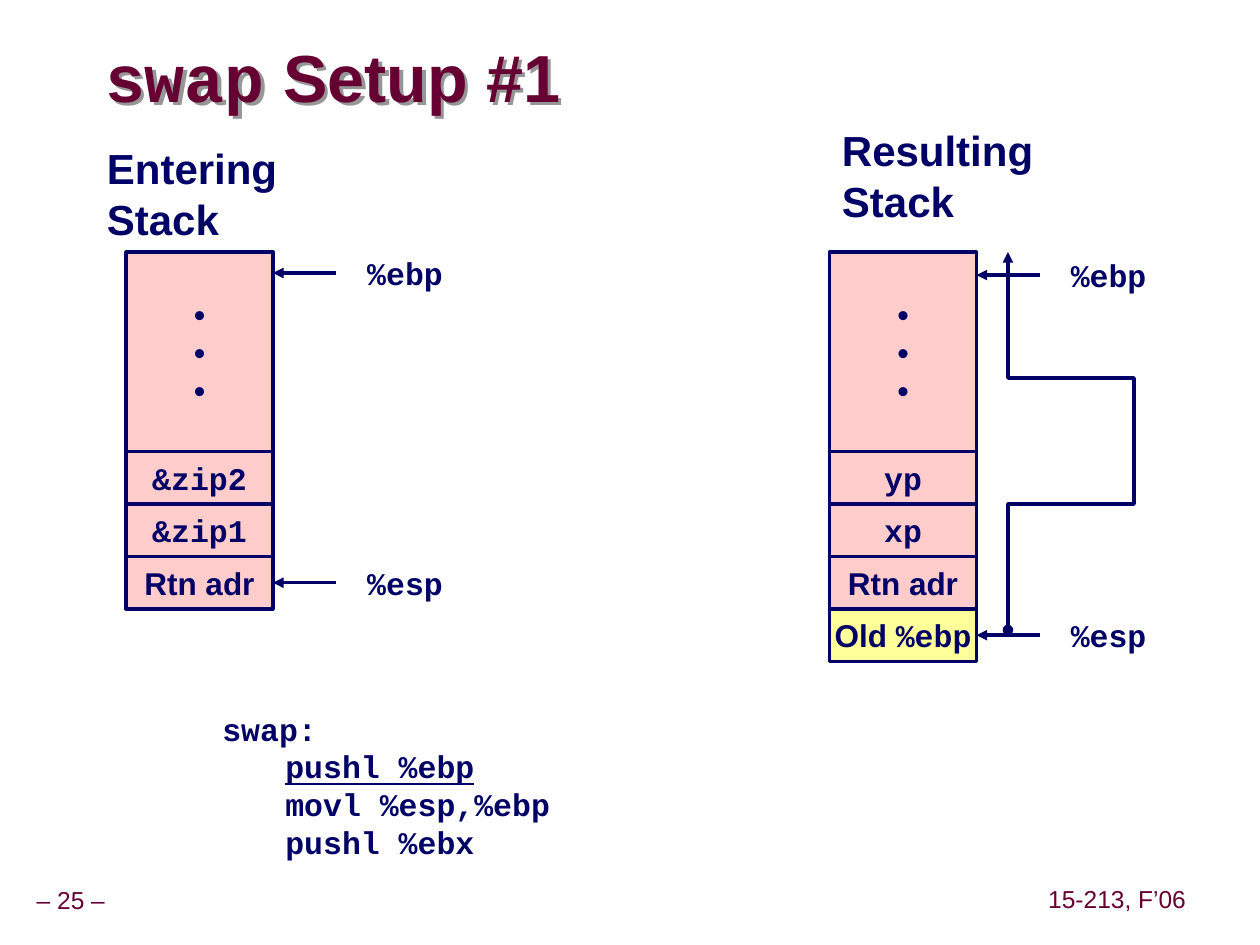
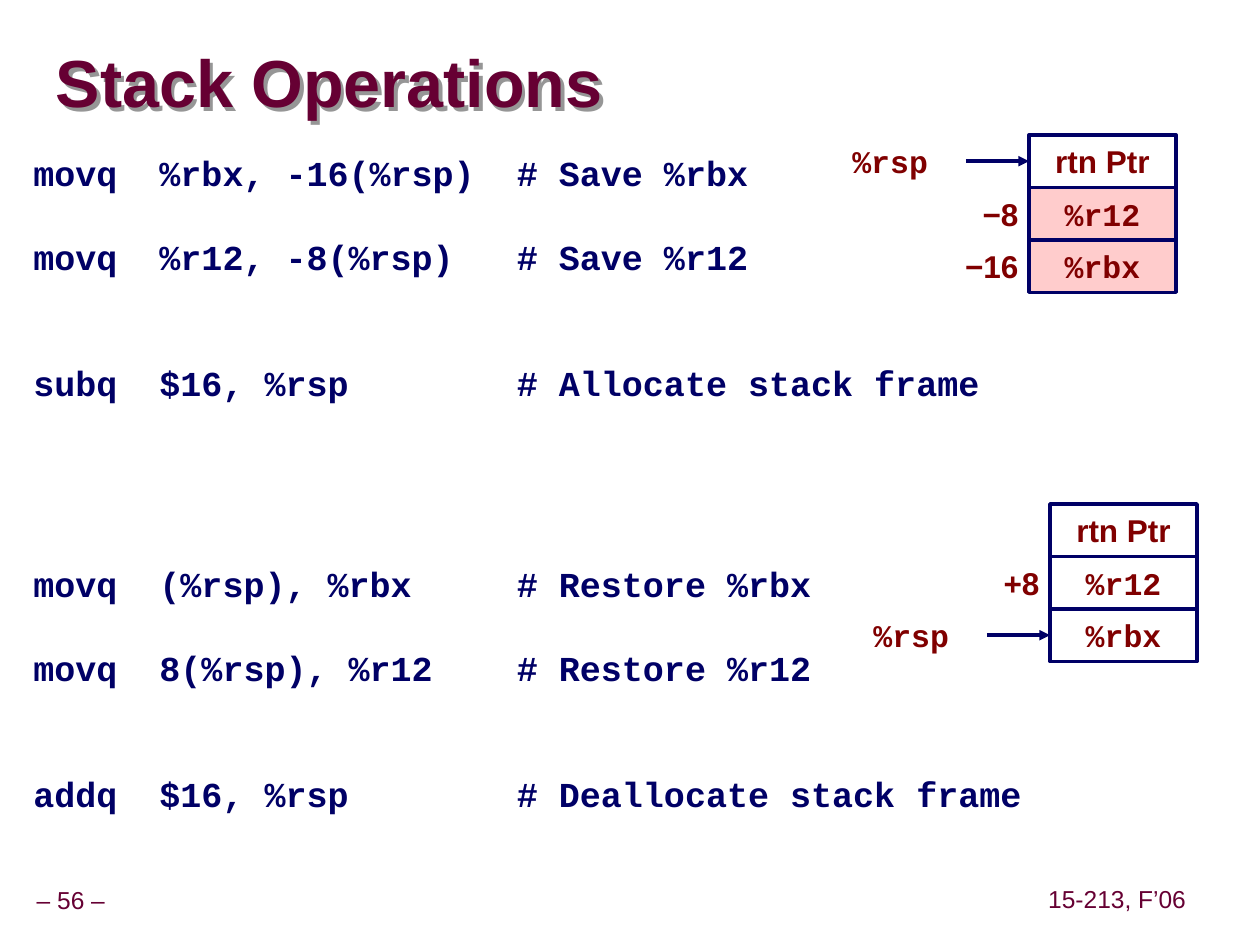
from dataclasses import dataclass
from typing import Optional

from lxml import etree
from pptx import Presentation
from pptx.dml.color import RGBColor
from pptx.enum.shapes import MSO_CONNECTOR, MSO_SHAPE
from pptx.enum.text import MSO_ANCHOR, PP_ALIGN
from pptx.oxml import parse_xml
from pptx.oxml.ns import nsdecls, qn
from pptx.util import Emu, Inches, Pt

RECTANGLE = MSO_SHAPE.RECTANGLE
STRAIGHT = MSO_CONNECTOR.STRAIGHT
LEFT, CENTER, RIGHT = PP_ALIGN.LEFT, PP_ALIGN.CENTER, PP_ALIGN.RIGHT
TOP, MIDDLE = MSO_ANCHOR.TOP, MSO_ANCHOR.MIDDLE
LEFT_SIDE, RIGHT_SIDE = 1, 3

SANS, MONO = "Arial", "Courier New"
NAVY, WINE, MAROON = "000066", "660033", "800000"
PINK, YELLOW, WHITE, GREY = "FFCCCC", "FFFF99", "FFFFFF", "969696"

# The slide is a grid of 120 columns by 90 rows
SLIDE_WIDTH, SLIDE_HEIGHT = Inches(10), Inches(7.5)
UNIT = SLIDE_WIDTH / 120
CELL_WIDTH, CELL_HEIGHT, DOTS_HEIGHT = 14, 5, 19
ARROW_LENGTH = 6
LABEL_WIDTH, LABEL_HEIGHT = 9.6, 4.8
LEADING = 1.2


@dataclass
class Span:
    text: str
    font: str = SANS
    underline: bool = False


@dataclass
class Line:
    spans: list[Span]
    space_before: float = 0
    indent: float = 0


@dataclass
class Style:
    size: float
    color: str = NAVY
    bold: bool = True
    align: PP_ALIGN = LEFT
    anchor: MSO_ANCHOR = TOP
    wrap: bool = False
    inset_x: float = 0.1
    inset_y: float = 0.05
    spacing: Optional[float] = None  # None gives an exact leading


@dataclass
class Cell:
    lines: list[Line]
    fill: Optional[str] = PINK
    height: float = CELL_HEIGHT


TITLE = Style(38, WINE, anchor=MIDDLE, wrap=True, inset_x=0, inset_y=0, spacing=0.87)
FOOTER = Style(14, WINE, bold=False, align=CENTER, anchor=MIDDLE, inset_x=0.05, spacing=0.9)
HEADING = Style(24)
REGISTER = Style(18)
REGISTER_MAROON = Style(18, MAROON)
CELL = Style(18, align=CENTER, anchor=MIDDLE)
CELL_MAROON = Style(18, MAROON, align=CENTER, anchor=MIDDLE)
OFFSET = Style(18, MAROON, align=RIGHT, wrap=True, inset_x=0.05, spacing=0.9)
SETUP_CODE = Style(18, wrap=True)
STACK_CODE = Style(20, wrap=True)


def grid(count: float) -> Emu:
    return Emu(round(count * UNIT))


def rgb(color: str) -> RGBColor:
    return RGBColor.from_string(color)


def sans(text: str) -> Line:
    return Line([Span(text)])


def mono(text: str, space_before: float = 0, indent: float = 0, underline: bool = False) -> Line:
    return Line([Span(text, MONO, underline)], space_before, indent)


def write(frame, lines: list[Line], style: Style) -> None:
    frame.word_wrap = style.wrap
    frame.vertical_anchor = style.anchor
    frame.margin_left = frame.margin_right = Inches(style.inset_x)
    frame.margin_top = frame.margin_bottom = Inches(style.inset_y)
    for index, line in enumerate(lines):
        paragraph = frame.add_paragraph() if index else frame.paragraphs[0]
        paragraph.alignment = style.align
        paragraph.line_spacing = style.spacing or Pt(style.size * LEADING)
        if line.space_before:
            paragraph.space_before = Pt(line.space_before)
        if line.indent:
            paragraph._p.get_or_add_pPr().set("marL", str(Inches(line.indent)))
        for span in line.spans:
            run = paragraph.add_run()
            run.text = span.text
            run.font.name = span.font
            run.font.size = Pt(style.size)
            run.font.bold = style.bold
            run.font.underline = span.underline
            run.font.color.rgb = rgb(style.color)


def add_text(slide, left: float, top: float, width: float, height: float,
             lines: list[Line], style: Style) -> None:
    box = slide.shapes.add_textbox(grid(left), grid(top), grid(width), grid(height))
    write(box.text_frame, lines, style)


def outline(shape, head: str = "", tail: str = "") -> None:
    shape.line.color.rgb = rgb(NAVY)
    shape.line.width = Pt(2)
    line_xml = shape.line._get_or_add_ln()
    for tag, kind in (("a:headEnd", head), ("a:tailEnd", tail)):
        if kind:
            etree.SubElement(line_xml, qn(tag), type=kind)


def add_stack(slide, left: float, top: float, cells: list[Cell], style: Style) -> list:
    """Draw cells downwards from the top; return their shapes."""
    drawn = []
    for cell in cells:
        shape = slide.shapes.add_shape(
            RECTANGLE, grid(left), grid(top), grid(CELL_WIDTH), grid(cell.height))
        shape.shadow.inherit = False
        if cell.fill:
            shape.fill.solid()
            shape.fill.fore_color.rgb = rgb(cell.fill)
        else:
            shape.fill.background()
        outline(shape)
        write(shape.text_frame, cell.lines, style)
        drawn.append(shape)
        top += cell.height
    return drawn


def add_pointer(slide, register: str, cell, side: int, style: Style,
                row: Optional[float] = None) -> None:
    """Point from a register name to a cell's side, at its middle unless a row is given."""
    y = (cell.top + cell.height / 2) / UNIT if row is None else row
    if side == RIGHT_SIDE:
        tip = (cell.left + cell.width) / UNIT
        start, label_left = tip + ARROW_LENGTH, tip + ARROW_LENGTH + 1.8
    else:
        tip = cell.left / UNIT
        start, label_left = tip - ARROW_LENGTH, tip - 18
    arrow = slide.shapes.add_connector(STRAIGHT, grid(start), grid(y), grid(tip), grid(y))
    if row is None:
        arrow.end_connect(cell, side)
    outline(arrow, tail="triangle")
    etree.SubElement(arrow._element.spPr, qn("a:effectLst"))
    add_text(slide, label_left, y - LABEL_HEIGHT / 2, LABEL_WIDTH, LABEL_HEIGHT,
             [mono(register)], style)


def add_offset(slide, text: str, cell) -> None:
    add_text(slide, cell.left / UNIT - 0.4 - LABEL_WIDTH, cell.top / UNIT + 0.5,
             LABEL_WIDTH, 4.4, [sans(text)], OFFSET)


def add_saved_link(slide) -> None:
    """Curve from the saved %ebp to the frame that it points to."""
    start = (7.58, 4.92)
    curves = [
        ((7.76, 4.92), (7.93, 4.92), (8.08, 4.83)),
        ((8.24, 4.75), (8.4, 4.61), (8.5, 4.42)),
        ((8.6, 4.22), (8.65, 3.92), (8.67, 3.67)),
        ((8.68, 3.42), (8.67, 3.14), (8.58, 2.92)),
        ((8.5, 2.69), (8.31, 2.46), (8.17, 2.33)),
        ((8.03, 2.21), (7.82, 2.19), (7.75, 2.17)),
    ]
    steps = 12
    points, origin = [], start
    for first, second, end in curves:
        for step in range(1, steps + 1):
            t = step / steps
            weights = ((1 - t) ** 3, 3 * t * (1 - t) ** 2, 3 * t * t * (1 - t), t ** 3)
            knots = (origin, first, second, end)
            points.append(tuple(
                sum(w * knot[axis] for w, knot in zip(weights, knots)) for axis in (0, 1)))
        origin = end
    builder = slide.shapes.build_freeform(*start, scale=Inches(1))
    builder.add_line_segments(points, close=False)
    link = builder.convert_to_shape()
    link.shadow.inherit = False
    link.fill.background()
    outline(link, head="oval", tail="triangle")


def new_slide(deck, number: int, title: list[Span], left: float, top: float,
              width: float, height: float):
    """Slide with a shadowed title, a page number and the course name."""
    slide = deck.slides.add_slide(deck.slide_layouts[5])
    heading = slide.shapes.title
    heading.left, heading.top = grid(left), grid(top)
    heading.width, heading.height = grid(width), grid(height)
    write(heading.text_frame, [Line(title)], TITLE)
    heading._element.spPr.append(parse_xml(
        f'<a:effectLst {nsdecls("a")}><a:outerShdw dist="{Pt(2.83)}" dir="2700000" '
        f'algn="ctr" rotWithShape="0"><a:srgbClr val="{GREY}"/></a:outerShdw></a:effectLst>'))
    add_text(slide, -1.1, 84, 15.7, 3.7, [sans(f"– {number} –")], FOOTER)
    add_text(slide, 99.2, 83.9, 14.4, 3.7, [sans("15-213, F’06")], FOOTER)
    return slide


def build_swap_setup(deck) -> None:
    slide = new_slide(deck, 25, [Span("swap", MONO), Span(" Setup #1")], 10, 4, 71.4, 7.5)
    dots = Cell([sans("•")] * 3, height=DOTS_HEIGHT)
    return_address = Cell([sans("Rtn adr")])

    # Code, with the current instruction underlined
    add_text(slide, 20, 67, 66, 16.3, [
        mono("swap:"),
        mono("pushl %ebp", indent=0.5, underline=True),
        mono("movl %esp,%ebp", indent=0.5),
        mono("pushl %ebx", indent=0.5),
    ], SETUP_CODE)

    # Entering stack
    add_text(slide, 9, 13, 18.6, 10.8, [sans("Entering"), sans("Stack")], HEADING)
    entering = add_stack(slide, 12, 24, [
        dots, Cell([mono("&zip2")]), Cell([mono("&zip1")]), return_address], CELL)
    add_pointer(slide, "%ebp", entering[0], RIGHT_SIDE, REGISTER, row=26)
    add_pointer(slide, "%esp", entering[-1], RIGHT_SIDE, REGISTER)

    # Resulting stack
    add_text(slide, 79, 11.3, 26.8, 10.8, [sans("Resulting"), sans("Stack")], HEADING)
    saved = Cell([Line([Span("Old "), Span("%ebp", MONO)])], YELLOW)
    resulting = add_stack(slide, 79, 24, [
        dots, Cell([mono("yp")]), Cell([mono("xp")]), return_address, saved], CELL)
    add_pointer(slide, "%ebp", resulting[0], RIGHT_SIDE, REGISTER, row=26.2)
    add_saved_link(slide)
    add_pointer(slide, "%esp", resulting[-1], RIGHT_SIDE, REGISTER)


def build_stack_operations(deck) -> None:
    slide = new_slide(deck, 56, [Span("Stack Operations")], 5.3, 3.2, 114.4, 10.2)
    gap = STACK_CODE.size * LEADING

    # Save and restore code
    blocks = {
        13.8: ("movq  %rbx, -16(%rsp)  # Save %rbx",
               "movq  %r12, -8(%rsp)   # Save %r12",
               "subq  $16, %rsp        # Allocate stack frame"),
        53: ("movq  (%rsp), %rbx     # Restore %rbx",
             "movq  8(%rsp), %r12    # Restore %r12",
             "addq  $16, %rsp        # Deallocate stack frame"),
    }
    for top, code in blocks.items():
        lines = [mono(text, space_before=index * gap) for index, text in enumerate(code)]
        add_text(slide, 2, top, 107, 25.2, lines, STACK_CODE)

    # Stack before allocation and before restoring
    def frame(left: float, top: float, fills: tuple) -> list:
        labels = (sans("rtn Ptr"), mono("%r12"), mono("%rbx"))
        cells = [Cell([label], fill) for label, fill in zip(labels, fills)]
        return add_stack(slide, left, top, cells, CELL_MAROON)

    before = frame(98, 12.85, (WHITE, PINK, PINK))
    add_pointer(slide, "%rsp", before[0], LEFT_SIDE, REGISTER_MAROON)
    add_offset(slide, "−8", before[1])
    add_offset(slide, "−16", before[2])

    after = frame(100, 48, (None, None, None))
    add_offset(slide, "+8", after[1])
    add_pointer(slide, "%rsp", after[2], LEFT_SIDE, REGISTER_MAROON)


def main() -> None:
    deck = Presentation()
    deck.slide_width, deck.slide_height = SLIDE_WIDTH, SLIDE_HEIGHT
    build_swap_setup(deck)
    build_stack_operations(deck)
    deck.save("out.pptx")


if __name__ == "__main__":
    main()
